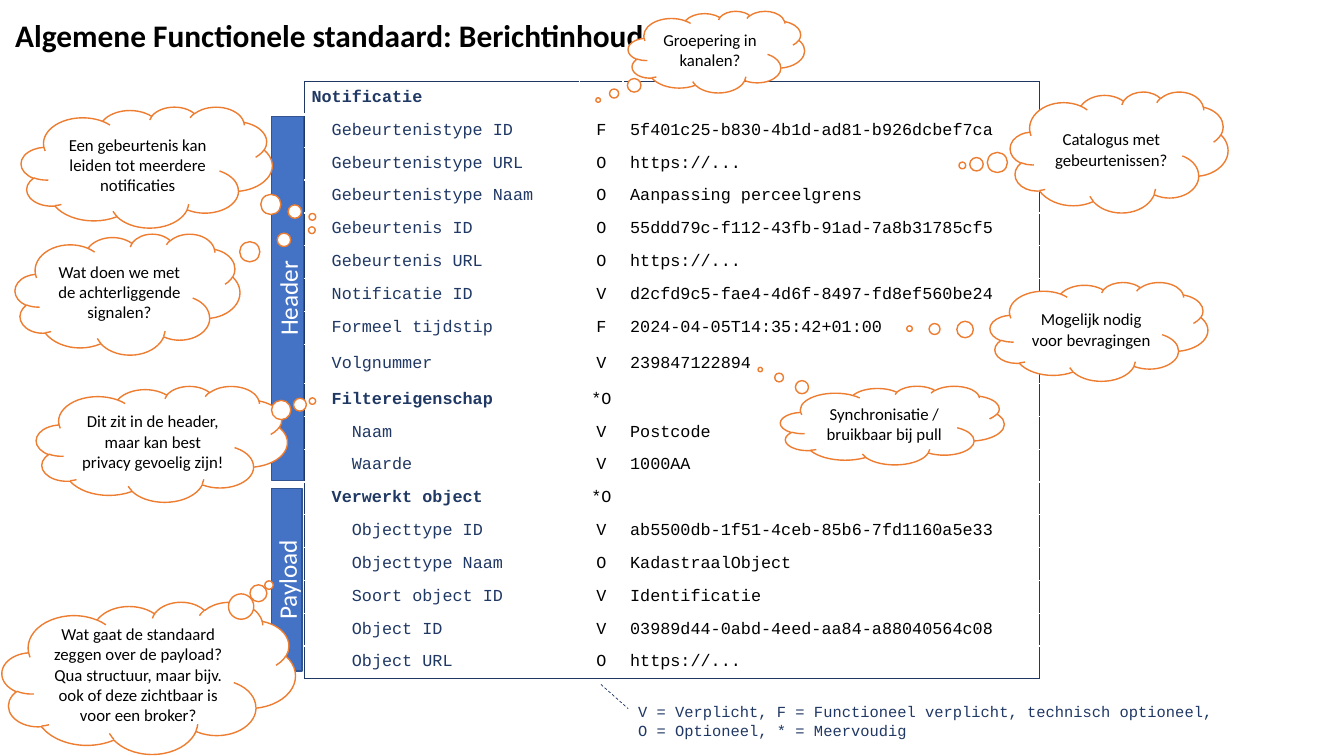
from dataclasses import dataclass

import pptx
import pptx.dml.color
import pptx.enum.dml
import pptx.enum.shapes
import pptx.enum.text
import pptx.oxml
import pptx.oxml.ns
import pptx.util

Inches = pptx.util.Inches
Pt = pptx.util.Pt
Shape = pptx.enum.shapes.MSO_SHAPE
Align = pptx.enum.text.PP_ALIGN
Anchor = pptx.enum.text.MSO_ANCHOR


@dataclass(frozen=True)
class Theme:
    sans: str = "Calibri"
    mono: str = "Courier New"
    black: str = "000000"
    white: str = "FFFFFF"
    navy: str = "203864"
    blue: str = "4472C4"
    blue_edge: str = "325491"
    orange: str = "ED7D31"
    title: float = 22.4
    band: float = 18
    body: float = 12
    legend: float = 11


THEME = Theme()

# Field, indent level, bold, obligation, example value
FIELDS = [
    ("Notificatie", 0, True, "", ""),
    ("Gebeurtenistype ID", 1, False, "F", "5f401c25-b830-4b1d-ad81-b926dcbef7ca"),
    ("Gebeurtenistype URL", 1, False, "O", "https://..."),
    ("Gebeurtenistype Naam", 1, False, "O", "Aanpassing perceelgrens"),
    ("Gebeurtenis ID", 1, False, "O", "55ddd79c-f112-43fb-91ad-7a8b31785cf5"),
    ("Gebeurtenis URL", 1, False, "O", "https://..."),
    ("Notificatie ID", 1, False, "V", "d2cfd9c5-fae4-4d6f-8497-fd8ef560be24"),
    ("Formeel tijdstip", 1, False, "F", "2024-04-05T14:35:42+01:00"),
    ("Volgnummer", 1, False, "V", "239847122894"),
    ("Filtereigenschap", 1, True, "*O", ""),
    ("Naam", 2, False, "V", "Postcode"),
    ("Waarde", 2, False, "V", "1000AA"),
    ("Verwerkt object", 1, True, "*O", ""),
    ("Objecttype ID", 2, False, "V", "ab5500db-1f51-4ceb-85b6-7fd1160a5e33"),
    ("Objecttype Naam", 2, False, "O", "KadastraalObject"),
    ("Soort object ID", 2, False, "V", "Identificatie"),
    ("Object ID", 2, False, "V", "03989d44-0abd-4eed-aa84-a88040564c08"),
    ("Object URL", 2, False, "O", "https://..."),
]
COLUMN_WIDTHS = (2.73, 0.43, 4.13)
TABLE_HEIGHT = 5.93
TALL_ROW, TALL_HEIGHT = 8, 0.39

# Left, top, width, height, tail position, paragraphs
CLOUDS = [
    (10.02, 0.91, 2.16, 1.2, (-0.72, 0.11), ["Catalogus met gebeurtenissen?"]),
    (0.21, 1.06, 2.49, 1.2, (0.66, 0.41),
     ["Een gebeurtenis kan leiden tot meerdere notificaties"]),
    (0.15, 2.32, 2.23, 1.2, (0.82, -0.53),
     ["Wat doen we met de achterliggende signalen?"]),
    (9.82, 2.8, 2.16, 0.98, (-0.87, -0.03), ["Mogelijk nodig voor bevragingen"]),
    (7.74, 3.83, 2.22, 0.78, (-0.59, -0.71),
     ["Synchronisatie / bruikbaar bij pull"]),
    (0.36, 3.83, 2.49, 1.15, (0.6, -0.37),
     ["Dit zit in de header, maar kan best privacy gevoelig zijn!"]),
    (0.02, 5.97, 2.91, 1.51, (0.41, -0.61),
     ["Wat gaat de standaard zeggen over de payload?",
      "Qua structuur, maar bijv. ook of deze zichtbaar is voor een broker?"]),
    (6.23, 0.11, 1.75, 0.81, (-0.67, 0.59), ["Groepering in kanalen?"]),
]


def rgb(value):
    return pptx.dml.color.RGBColor.from_string(value)


def write(tf, lines, font, size, color, align=Align.LEFT, bold=False):
    for i, line in enumerate(lines):
        p = tf.add_paragraph() if i else tf.paragraphs[0]
        p.text = line
        p.alignment = align
        p.font.name, p.font.size, p.font.bold = font, Pt(size), bold
        p.font.color.rgb = rgb(color)


def add_box(slide, kind, place, fill, line, lines, size, color):
    sp = slide.shapes.add_shape(kind, *map(Inches, place))
    sp.shadow.inherit = False
    sp.fill.solid()
    sp.fill.fore_color.rgb = rgb(fill)
    sp.line.color.rgb = rgb(line)
    sp.line.width = Pt(1)
    sp.text_frame.vertical_anchor = Anchor.MIDDLE
    write(sp.text_frame, lines, THEME.sans, size, color, Align.CENTER)
    return sp


def add_band(slide, label, place):
    sp = add_box(slide, Shape.RECTANGLE, place, THEME.blue, THEME.blue_edge,
                 [label], THEME.band, THEME.white)
    sp.rotation = 270


def add_cloud(slide, left, top, width, height, tail, lines):
    sp = add_box(slide, Shape.CLOUD_CALLOUT, (left, top, width, height),
                 THEME.white, THEME.orange, lines, THEME.body, THEME.black)
    sp.adjustments[0], sp.adjustments[1] = tail


def set_border(cell, side, color, width):
    # Borders come before the fill in the cell properties
    ns = pptx.oxml.ns.nsdecls("a")
    border = pptx.oxml.parse_xml(
        f'<a:{side} {ns} w="{Pt(width)}"><a:solidFill><a:srgbClr val="{color}"/>'
        f'</a:solidFill></a:{side}>')
    props = cell._tc.get_or_add_tcPr()
    props.insert(len(props) - 1, border)


def format_cell(cell, text, row, col, level, bold):
    last_row, last_col = len(FIELDS) - 1, len(COLUMN_WIDTHS) - 1
    cell.fill.solid()
    cell.fill.fore_color.rgb = rgb(THEME.white)
    cell.vertical_anchor = Anchor.MIDDLE
    cell.margin_left = Inches(0.07 + 0.2 * level)
    cell.margin_right = Inches(0.07)
    cell.margin_top = cell.margin_bottom = 0
    outer = {"lnL": col == 0, "lnR": col == last_col,
             "lnT": row == 0, "lnB": row == last_row}
    for side, is_outer in outer.items():
        width = 3 if row == 0 and side == "lnB" else 1
        set_border(cell, side, THEME.navy if is_outer else THEME.white, width)
    write(cell.text_frame, [text], THEME.mono, THEME.body,
          THEME.black if col else THEME.navy,
          Align.CENTER if col == 1 else Align.LEFT, bold)


def add_message_table(slide):
    frame = slide.shapes.add_table(
        len(FIELDS), len(COLUMN_WIDTHS), Inches(3.02), Inches(0.81),
        Inches(sum(COLUMN_WIDTHS)), Inches(TABLE_HEIGHT))
    table = frame.table
    table.first_row = table.horz_banding = False
    for column, width in zip(table.columns, COLUMN_WIDTHS):
        column.width = Inches(width)
    row_height = (TABLE_HEIGHT - TALL_HEIGHT) / (len(FIELDS) - 1)
    for r, (name, level, bold, obligation, value) in enumerate(FIELDS):
        table.rows[r].height = Inches(TALL_HEIGHT if r == TALL_ROW else row_height)
        for c, text in enumerate((name, obligation, value)):
            first = c == 0
            format_cell(table.cell(r, c), text, r, c,
                        level if first else 0, bold and first)


def add_title(slide, text):
    sp = slide.shapes.title
    sp.left, sp.top, sp.width, sp.height = map(Inches, (0.05, 0.05, 6.8, 0.69))
    tf = sp.text_frame
    tf.vertical_anchor = Anchor.MIDDLE
    write(tf, [text], THEME.sans, THEME.title, THEME.black, bold=True)
    tf.paragraphs[0].line_spacing = 0.7


def add_legend(slide):
    sp = slide.shapes.add_textbox(*map(Inches, (6.23, 6.92, 5.96, 0.47)))
    sp.text_frame.word_wrap = False
    write(sp.text_frame,
          ["V = Verplicht, F = Functioneel verplicht, technisch optioneel,",
           "O = Optioneel, * = Meervoudig"],
          THEME.mono, THEME.legend, THEME.navy)
    line = slide.shapes.add_connector(
        pptx.enum.shapes.MSO_CONNECTOR.STRAIGHT,
        *map(Inches, (5.96, 6.79, 6.23, 7.03)))
    line.line.color.rgb = rgb(THEME.navy)
    line.line.width = Pt(0.5)
    line.line.dash_style = pptx.enum.dml.MSO_LINE.DASH
    line._element.spPr.append(pptx.oxml.parse_xml(
        f'<a:effectLst {pptx.oxml.ns.nsdecls("a")}/>'))


def main():
    prs = pptx.Presentation()
    prs.slide_width, prs.slide_height = Inches(13.33), Inches(7.5)
    slide = prs.slides.add_slide(prs.slide_layouts[5])

    # Title and section bands
    add_title(slide, "Algemene Functionele standaard: Berichtinhoud")
    add_band(slide, "Header", (1.05, 2.8, 3.61, 0.32))
    add_band(slide, "Payload", (1.94, 5.6, 1.81, 0.3))

    # Message fields and legend
    add_message_table(slide)
    add_legend(slide)

    # Questions in thought clouds
    for cloud in CLOUDS:
        add_cloud(slide, *cloud)

    prs.save("out.pptx")


if __name__ == "__main__":
    main()
